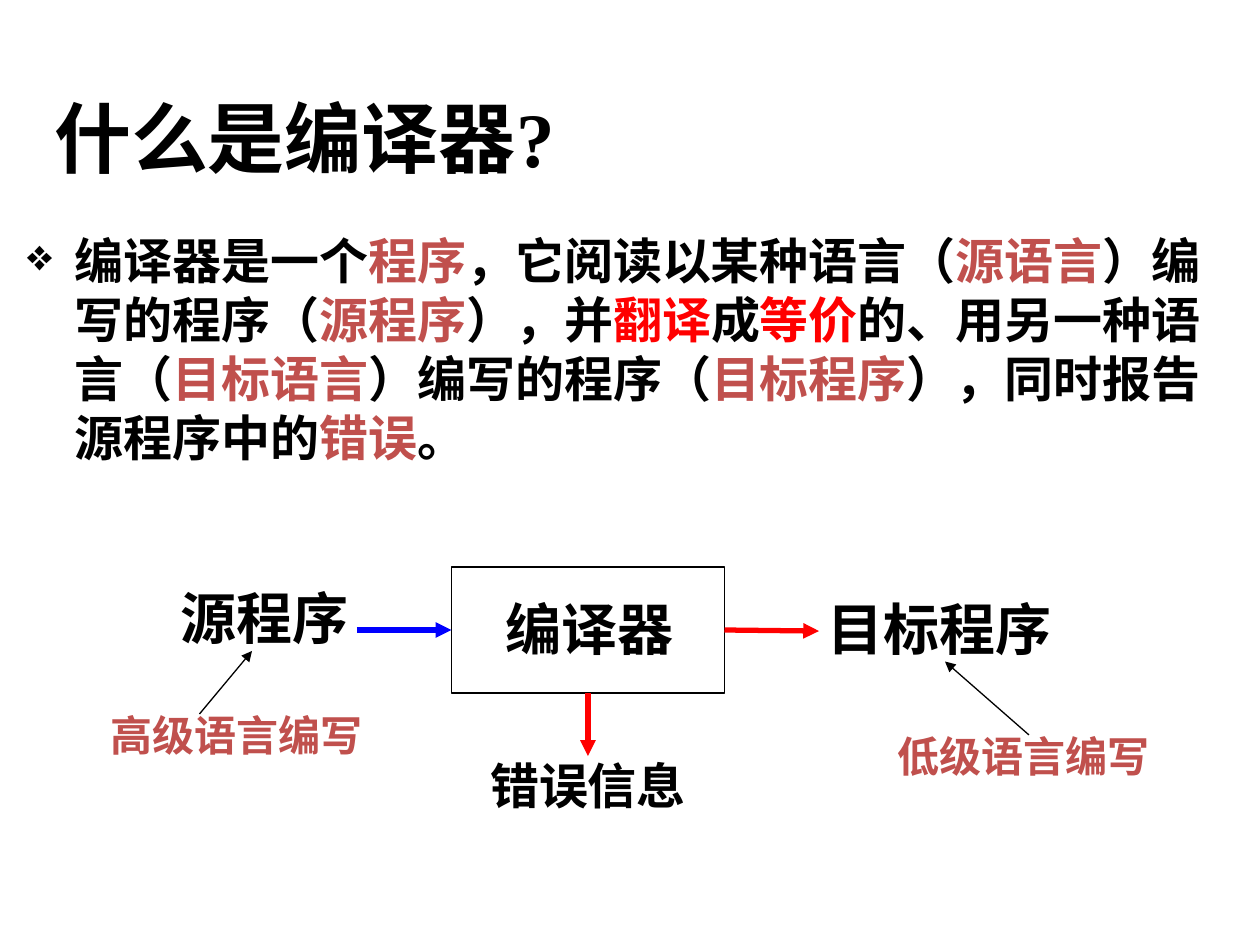
import pptx
import pptx.util
import pptx.dml.color
import pptx.enum.shapes
import pptx.enum.text
import pptx.oxml
import pptx.oxml.ns

BLACK, WHITE, ROSE, RED, BLUE = "000000", "FFFFFF", "C0504D", "FF0000", "0000FF"
FONT = "Times New Roman"
COLUMNS, ROWS = 120, 90
WIDTH, HEIGHT = pptx.util.Inches(10), pptx.util.Inches(7.5)

DEFINITION = [
    ("编译器是一个", BLACK), ("程序", ROSE), ("，它阅读以某种语言（", BLACK),
    ("源语言", ROSE), ("）编写的程序（", BLACK), ("源程序", ROSE),
    ("），并", BLACK), ("翻译", RED), ("成", BLACK), ("等价", RED),
    ("的、用另一种语言（", BLACK), ("目标语言", ROSE), ("）编写的程序（", BLACK),
    ("目标程序", ROSE), ("），同时报告源程序中的", BLACK), ("错误", ROSE), ("。", BLACK),
]
DEFINITION_AREA = (1.4, 21.4, 118.6, 27.6)
COMPILER_AREA = (43, 54, 26, 12)

LABELS = [
    ("什么是编译器?", 0, 8, 58, 44, BLACK, "CENTER"),
    ("编译器", 47, 56, 21, 32, BLACK, "LEFT"),
    ("源程序", 16, 55, 21, 32, BLACK, "LEFT"),
    ("目标程序", 77, 56, 25, 32, BLACK, "CENTER"),
    ("错误信息", 44, 71.4, 24, 28, BLACK, "CENTER"),
    ("高级语言编写", 8, 67, 29, 24, ROSE, "CENTER"),
    ("低级语言编写", 83, 69, 29, 24, ROSE, "CENTER"),
]

TOP, LEFT, BOTTOM, RIGHT = range(4)
ARROWS = [
    ((34, 60), (43, 60), BLUE, 3, None, LEFT),
    ((69, 60), (78, 60.1), RED, 3, RIGHT, None),
    ((56, 66), (56, 72), RED, 3, BOTTOM, None),
    ((19, 68), (24, 62), BLACK, 0.75, None, None),
    ((98, 70), (90, 63), BLACK, 0.75, None, None),
]


def color(value):
    return pptx.dml.color.RGBColor.from_string(value)


def x(column):
    return round(WIDTH * column / COLUMNS)


def y(row):
    return round(HEIGHT * row / ROWS)


def area(left, top, width, height):
    return x(left), y(top), x(width), y(height)


def add_element(parent, tag, **attributes):
    element = pptx.oxml.parse_xml(f"<a:{tag} {pptx.oxml.ns.nsdecls('a')}/>")
    for name, value in attributes.items():
        element.set(name, str(value))
    parent.append(element)
    return element


def add_run(paragraph, text, size, text_color):
    run = paragraph.add_run()
    run.text = text
    for name, value in {"name": FONT, "size": pptx.util.Pt(size), "bold": True}.items():
        setattr(run.font, name, value)
    run.font.color.rgb = color(text_color)


def add_text_box(slide, position):
    frame = slide.shapes.add_textbox(*position).text_frame
    frame.word_wrap = True
    return frame.paragraphs[0]


def add_definition(slide):
    paragraph = add_text_box(slide, area(*DEFINITION_AREA))
    properties = paragraph._p.get_or_add_pPr()
    indent = pptx.util.Inches(0.38)
    properties.set("marL", str(indent))
    properties.set("indent", str(-indent))
    bullet_color = add_element(properties, "buClr")
    add_element(bullet_color, "srgbClr", val=BLACK)
    add_element(properties, "buSzPct", val=90000)
    add_element(properties, "buChar", char="❖")
    for text, text_color in DEFINITION:
        add_run(paragraph, text, 28, text_color)


def add_compiler(slide):
    shape = slide.shapes.add_shape(
        pptx.enum.shapes.MSO_SHAPE.RECTANGLE, *area(*COMPILER_AREA))
    shape.shadow.inherit = False
    shape.fill.solid()
    shape.fill.fore_color.rgb = color(WHITE)
    shape.line.color.rgb = color(BLACK)
    shape.line.width = pptx.util.Pt(0.75)
    return shape


def add_label(slide, text, left, top, width, size, text_color, alignment):
    height = pptx.util.Pt(size * 1.2 + 7.2)
    paragraph = add_text_box(slide, (x(left), y(top), x(width), height))
    paragraph.alignment = getattr(pptx.enum.text.PP_ALIGN, alignment)
    add_run(paragraph, text, size, text_color)


def add_arrow(slide, compiler, start, end, line_color, width, start_side, end_side):
    connector = slide.shapes.add_connector(
        pptx.enum.shapes.MSO_CONNECTOR.STRAIGHT,
        x(start[0]), y(start[1]), x(end[0]), y(end[1]))
    if start_side is not None:
        connector.begin_connect(compiler, start_side)
    if end_side is not None:
        connector.end_connect(compiler, end_side)
    connector.line.color.rgb = color(line_color)
    connector.line.width = pptx.util.Pt(width)
    add_element(connector.line._get_or_add_ln(), "tailEnd", type="triangle")
    add_element(connector._element.spPr, "effectLst")


def main():
    presentation = pptx.Presentation()
    presentation.slide_width, presentation.slide_height = WIDTH, HEIGHT
    slide = presentation.slides.add_slide(presentation.slide_layouts[6])
    add_definition(slide)
    compiler = add_compiler(slide)
    for label in LABELS:
        add_label(slide, *label)
    for arrow in ARROWS:
        add_arrow(slide, compiler, *arrow)
    presentation.save("out.pptx")


if __name__ == "__main__":
    main()
